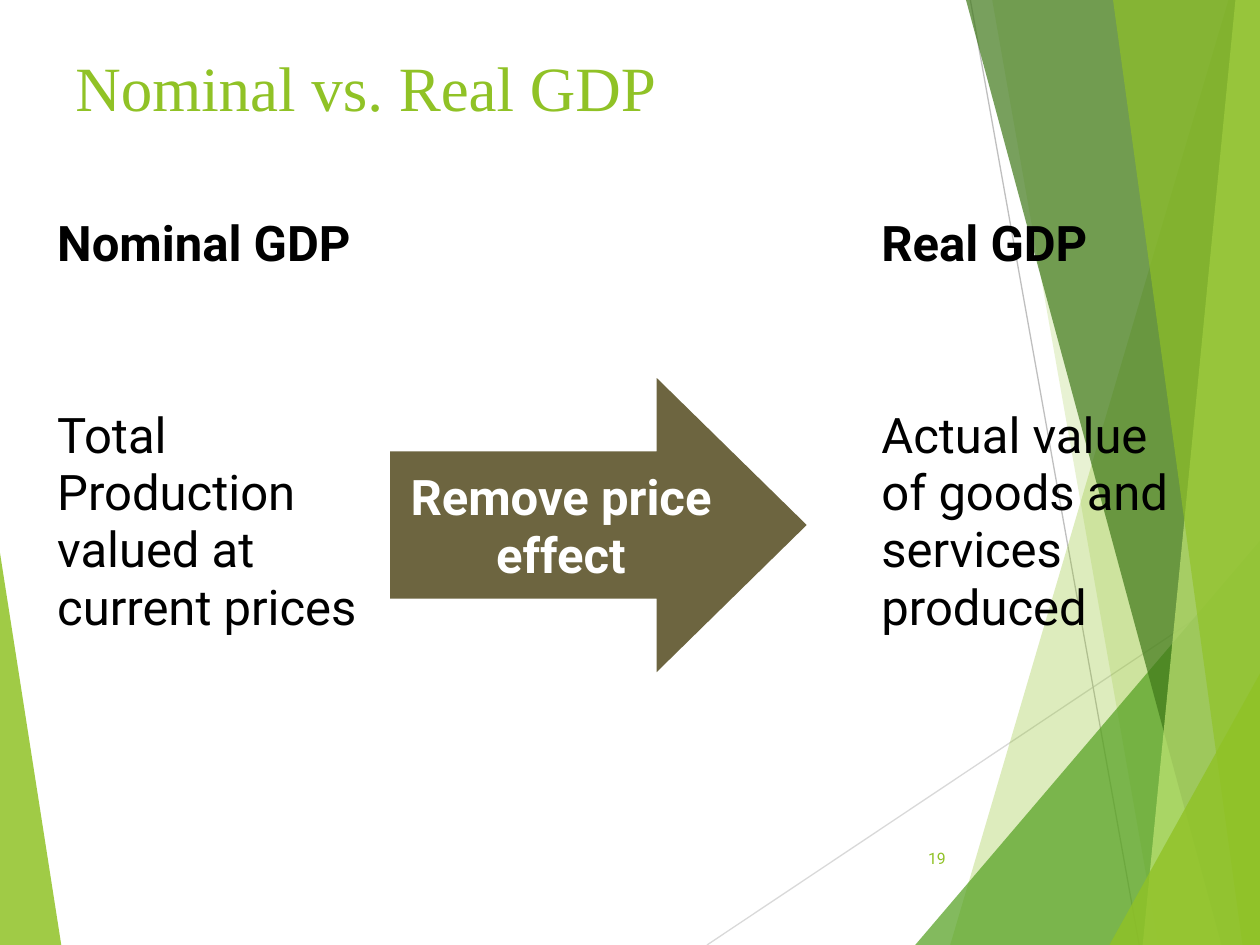
from lxml import etree
from pptx import Presentation
from pptx.dml.color import RGBColor
from pptx.enum.shapes import MSO_CONNECTOR, MSO_SHAPE
from pptx.enum.text import MSO_ANCHOR, PP_ALIGN
from pptx.oxml.ns import qn
from pptx.util import Pt

LINE = MSO_CONNECTOR.STRAIGHT
ARROW = MSO_SHAPE.RIGHT_ARROW
MIDDLE = MSO_ANCHOR.MIDDLE
LEFT, CENTER, RIGHT = PP_ALIGN.LEFT, PP_ALIGN.CENTER, PP_ALIGN.RIGHT

LIME = RGBColor(0x90, 0xC2, 0x26)
GREEN = RGBColor(0x54, 0xA0, 0x21)
FOREST = RGBColor(0x3F, 0x78, 0x19)
PALE = RGBColor(0xC0, 0xE4, 0x74)
OLIVE = RGBColor(0x6D, 0x65, 0x40)
SILVER = RGBColor(0xD9, 0xD9, 0xD9)
GRAY = RGBColor(0xBF, 0xBF, 0xBF)
BLACK = RGBColor(0, 0, 0)
WHITE = RGBColor(0xFF, 0xFF, 0xFF)

WIDE, HIGH = 720, 540
BODY, SERIF = "Roboto", "Times New Roman"
NO_STYLE = "{2D5ABB26-0587-4C30-8999-92F81FD0307C}"

# Bands at the right edge: top x, top y, foot x, colour, opacity in percent
BANDS = [
    (702, 0, 543, LIME, 30),
    (567, 0, 662, LIME, 20),
    (WIDE, 309, 523, GREEN, 72),
    (552, 0, 698, FOREST, 70),
    (706, 0, 653, PALE, 70),
    (636, 0, 710, LIME, 65),
    (WIDE, 385, 634, LIME, 80),
]
COLS = [188, 139, 144, 188]
ROWS = [109.5, 209]
CELLS = [
    ("Nominal GDP", "", "", "Real GDP"),
    ("Total Production valued at current prices", "", "",
     "Actual value of goods and services produced"),
]


def write(frame, text, size=28, font=BODY, color=BLACK, bold=False, align=LEFT):
    frame.word_wrap = True
    para = frame.paragraphs[0]
    para.alignment = align
    run = para.add_run()
    run.text = text
    run.font.size = Pt(size)
    run.font.name = font
    run.font.bold = bold
    run.font.color.rgb = color


def add_text(slide, box, text, **style):
    frame = slide.shapes.add_textbox(*map(Pt, box)).text_frame
    frame.vertical_anchor = MIDDLE
    write(frame, text, **style)


def paint(shape, color):
    shape.shadow.inherit = False
    shape.fill.solid()
    shape.fill.fore_color.rgb = color
    shape.line.fill.background()


def add_facet(slide, points, color, alpha):
    start, *rest = [(Pt(x), Pt(y)) for x, y in points]
    pen = slide.shapes.build_freeform(*start)
    pen.add_line_segments(rest)
    shape = pen.convert_to_shape()
    paint(shape, color)
    tint = shape.fill._xPr.find(qn("a:solidFill"))[0]
    etree.SubElement(tint, qn("a:alpha"), val=str(alpha * 1000))


def add_line(slide, ends, color):
    line = slide.shapes.add_connector(LINE, *map(Pt, ends))
    line.line.color.rgb = color
    line.line.width = Pt(0.75)
    etree.SubElement(line._element.spPr, qn("a:effectLst"))


def add_grid(slide, left, top):
    table = slide.shapes.add_table(
        len(ROWS), len(COLS), Pt(left), Pt(top), Pt(sum(COLS)), Pt(sum(ROWS))
    ).table
    table.first_row = table.horz_banding = False
    table._tbl.tblPr.find(qn("a:tableStyleId")).text = NO_STYLE
    for col, width in zip(table.columns, COLS):
        col.width = Pt(width)
    for i, (row, height) in enumerate(zip(table.rows, ROWS)):
        row.height = Pt(height)
        for cell, text in zip(row.cells, CELLS[i]):
            cell.fill.background()
            if text:
                write(cell.text_frame, text, bold=i == 0)


def add_arrow(slide, box, text):
    arrow = slide.shapes.add_shape(ARROW, *map(Pt, box))
    arrow.adjustments[0] = 0.5
    arrow.adjustments[1] = 0.51
    paint(arrow, OLIVE)
    arrow.text_frame.vertical_anchor = MIDDLE
    write(arrow.text_frame, text, color=WHITE, bold=True, align=CENTER)


def main():
    deck = Presentation()
    deck.slide_width, deck.slide_height = Pt(WIDE), Pt(HIGH)
    slide = deck.slides.add_slide(deck.slide_layouts[6])

    # Backdrop
    add_facet(slide, [(0, 316), (35, HIGH), (0, HIGH)], LIME, 85)
    add_line(slide, (404, HIGH, WIDE, 329), SILVER)
    add_line(slide, (554.5, 0, 651, HIGH), GRAY)
    for top, rise, foot, color, alpha in BANDS:
        edge = [(top, rise), (foot, HIGH), (WIDE, HIGH), (WIDE, rise)]
        add_facet(slide, edge, color, alpha)

    # Title, comparison and page number
    add_text(slide, (36, 21.6, 648, 56), "Nominal vs. Real GDP",
             size=36, font=SERIF, color=LIME)
    add_grid(slide, 25.5, 120)
    add_text(slide, (507.5, 476, 40, 28.8), "19",
             size=9, color=LIME, align=RIGHT)
    add_arrow(slide, (223, 216, 238, 168), "Remove price effect")

    deck.save("out.pptx")


if __name__ == "__main__":
    main()
